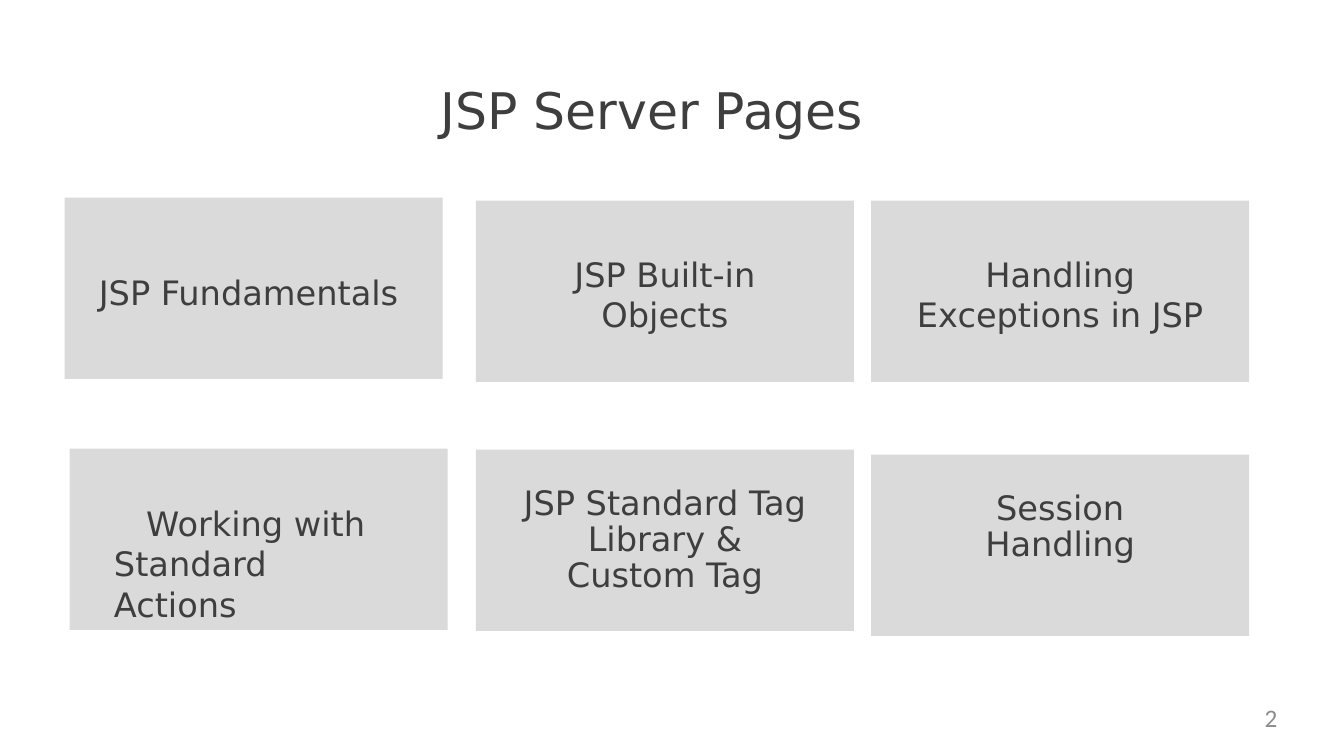
from dataclasses import dataclass

from pptx import Presentation
from pptx.dml.color import RGBColor
from pptx.enum.shapes import MSO_SHAPE
from pptx.enum.text import MSO_ANCHOR, MSO_AUTO_SIZE, PP_ALIGN
from pptx.slide import Slide
from pptx.text.text import Font, TextFrame
from pptx.util import Inches, Pt


@dataclass(frozen=True)
class Theme:
    card: RGBColor = RGBColor(0xDA, 0xDA, 0xDA)
    ink: RGBColor = RGBColor(0x3E, 0x3E, 0x3E)
    muted: RGBColor = RGBColor(0x8C, 0x8C, 0x8C)
    text_face: str = "DejaVu Sans"
    number_face: str = "Calibri"
    title_size: float = 36
    topic_size: float = 24
    number_size: float = 18


@dataclass(frozen=True)
class Topic:
    lines: tuple[str, ...]
    left: float
    top: float
    text_top: float
    text_left: float = 0
    first_indent: float = 0
    align: PP_ALIGN = PP_ALIGN.CENTER
    line_pitch: float | None = None


THEME = Theme()
CARD_WIDTH, CARD_HEIGHT = 3.75, 1.8
MIDDLE_COLUMN, RIGHT_COLUMN = 4.72, 8.64
TIGHT_PITCH = 25.9

TOPICS = (
    Topic(("JSP Fundamentals",), 0.64, 1.96, 0.74,
          text_left=0.34, align=PP_ALIGN.LEFT),
    Topic(("JSP Built-in", "Objects"), MIDDLE_COLUMN, 1.99, 0.53),
    Topic(("Handling", "Exceptions in JSP"), RIGHT_COLUMN, 1.99, 0.53),
    Topic(("Working with", "Standard", "Actions"), 0.69, 4.45, 0.54,
          text_left=0.44, first_indent=0.32, align=PP_ALIGN.LEFT),
    Topic(("JSP Standard Tag", "Library &", "Custom Tag"),
          MIDDLE_COLUMN, 4.46, 0.36, line_pitch=TIGHT_PITCH),
    Topic(("Session", "Handling"), RIGHT_COLUMN, 4.51, 0.36,
          line_pitch=TIGHT_PITCH),
)


def style_font(font: Font, face: str, size: float, color: RGBColor) -> None:
    font.name = face
    font.size = Pt(size)
    font.color.rgb = color


def prepare_frame(frame: TextFrame, top: float = 0, wrap: bool = True) -> None:
    """Anchor text at the top, with no inset except above it."""
    frame.margin_left = frame.margin_right = frame.margin_bottom = 0
    frame.margin_top = Inches(top)
    frame.vertical_anchor = MSO_ANCHOR.TOP
    frame.auto_size = MSO_AUTO_SIZE.NONE
    frame.word_wrap = wrap


def add_title(slide: Slide, wording: str) -> None:
    title = slide.shapes.title
    title.left, title.top = Inches(4.37), Inches(0.73)
    title.width, title.height = Inches(4.35), Inches(0.63)
    prepare_frame(title.text_frame, top=0.05, wrap=False)
    title.text_frame.text = wording
    paragraph = title.text_frame.paragraphs[0]
    paragraph.alignment = PP_ALIGN.LEFT
    style_font(paragraph.font, THEME.text_face, THEME.title_size, THEME.ink)


def add_topic(slide: Slide, topic: Topic) -> None:
    card = slide.shapes.add_shape(
        MSO_SHAPE.RECTANGLE, Inches(topic.left), Inches(topic.top),
        Inches(CARD_WIDTH), Inches(CARD_HEIGHT))
    card.shadow.inherit = False
    card.fill.solid()
    card.fill.fore_color.rgb = THEME.card
    card.line.fill.background()
    prepare_frame(card.text_frame, topic.text_top)

    paragraph = card.text_frame.paragraphs[0]
    paragraph.alignment = topic.align
    if topic.line_pitch:
        paragraph.line_spacing = Pt(topic.line_pitch)
    properties = paragraph._p.get_or_add_pPr()
    properties.set("marL", str(Inches(topic.text_left)))
    properties.set("indent", str(Inches(topic.first_indent)))
    for index, line in enumerate(topic.lines):
        if index:
            paragraph.add_line_break()
        paragraph.add_run().text = line
    style_font(paragraph.font, THEME.text_face, THEME.topic_size, THEME.ink)


def add_page_number(slide: Slide, number: int) -> None:
    box = slide.shapes.add_textbox(
        Inches(9.6), Inches(6.97), Inches(3.07), Inches(0.38))
    prepare_frame(box.text_frame)
    paragraph = box.text_frame.paragraphs[0]
    paragraph.text = str(number)
    paragraph.alignment = PP_ALIGN.RIGHT
    style_font(paragraph.font, THEME.number_face, THEME.number_size, THEME.muted)


def main() -> None:
    deck = Presentation()
    deck.slide_width, deck.slide_height = Inches(13.33), Inches(7.5)
    title_only = deck.slide_layouts.get_by_name("Title Only")
    slide = deck.slides.add_slide(title_only)
    add_title(slide, "JSP Server Pages")
    for topic in TOPICS:
        add_topic(slide, topic)
    add_page_number(slide, 2)
    deck.save("out.pptx")


if __name__ == "__main__":
    main()
